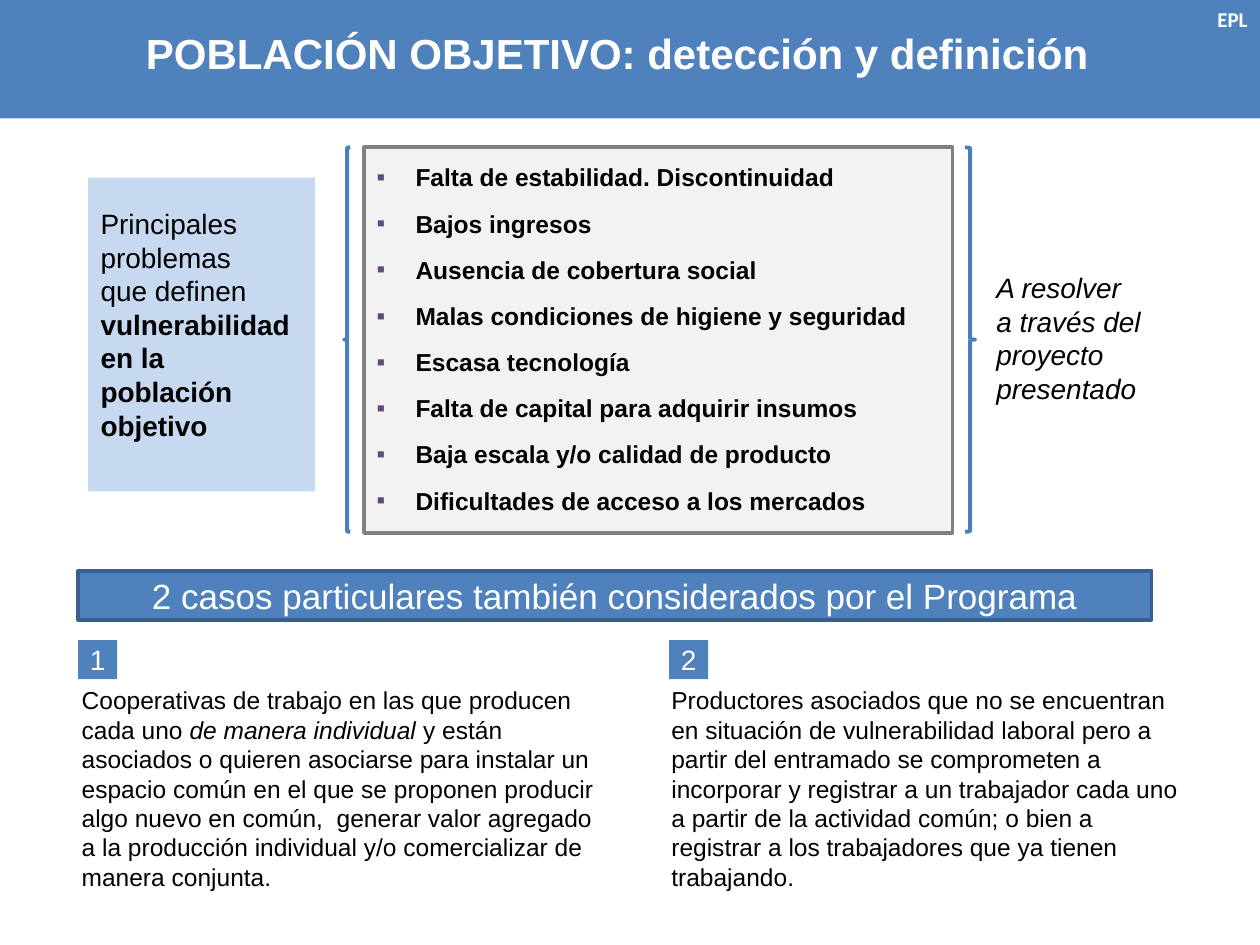
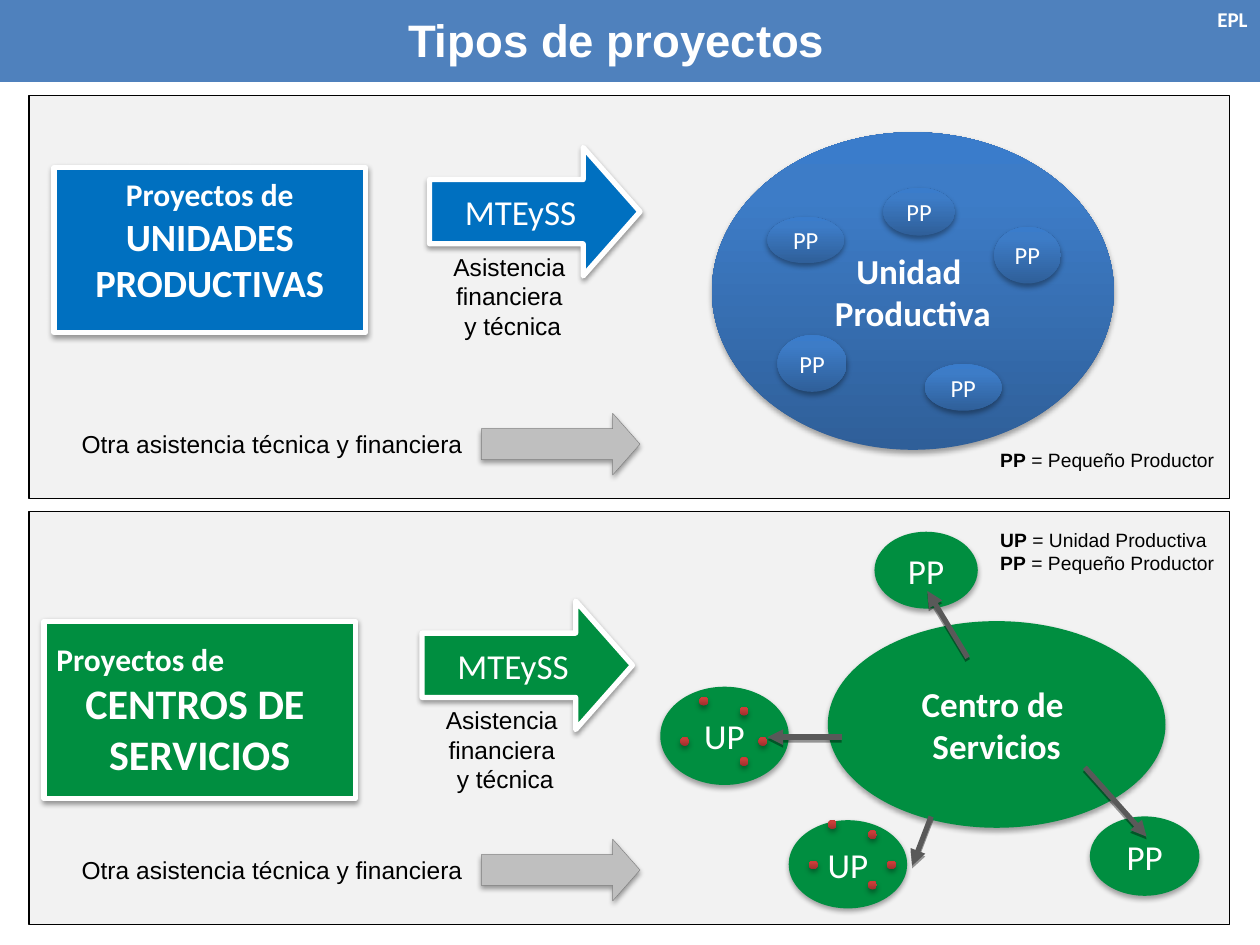
"""Builds two slides on the target population and the types of projects."""
from dataclasses import dataclass

import lxml.etree
import pptx
import pptx.dml.color
import pptx.enum.dml
import pptx.enum.shapes
import pptx.enum.text
import pptx.oxml.ns
import pptx.util

PX = 9144
KIND = pptx.enum.shapes.MSO_SHAPE
LEFT, CENTER, RIGHT = (getattr(pptx.enum.text.PP_ALIGN, side) for side in ("LEFT", "CENTER", "RIGHT"))
TOP, MIDDLE = pptx.enum.text.MSO_ANCHOR.TOP, pptx.enum.text.MSO_ANCHOR.MIDDLE


@dataclass(frozen=True)
class Theme:
    """Colours, fonts and type sizes shared by the slides."""
    band: str = "4F81BD"
    band_edge: str = "3A5F8C"
    brace: str = "4B7EBC"
    pale_blue: str = "C6D9F1"
    panel: str = "F2F2F2"
    gray: str = "808080"
    help_arrow: str = "BFBFBF"
    link: str = "595959"
    bullet: str = "604A7B"
    blue: str = "0070C0"
    green: str = "008E40"
    white: str = "FFFFFF"
    black: str = "000000"
    unit: tuple = ((0, "2F5F99"), (80, "3D7CC7"), (100, "3A7CCB"))
    dot: tuple = ((0, "9C2F2D"), (80, "CB3E3A"), (100, "CE3B37"))
    sans: str = "Arial"
    label: str = "Calibri"
    legend: int = 11
    tag: int = 12
    body: int = 14
    lead: int = 16
    project: int = 18
    large: int = 20


THEME = Theme()
BODY = {"name": THEME.sans, "size": THEME.body, "color": THEME.black}
LEAD = BODY | {"size": THEME.lead}
LEGEND = BODY | {"size": THEME.legend}
ON_BAND = BODY | {"color": THEME.white, "size": THEME.large}
LABEL = {"name": THEME.label, "size": THEME.large, "color": THEME.white}
BOLD, ITALIC = {"bold": True}, {"italic": True}
ARROW_SHADOW = {"alpha": 38, "blur": 3.1, "dist": 1.6}
BALL_SHADOW = {"alpha": 35, "blur": 3.1, "dist": 1.8}
LINK_SHADOW = {"alpha": 38, "blur": 0, "dist": 1.6}


def rgb(value):
    """Turn a hex string into a colour."""
    return pptx.dml.color.RGBColor.from_string(value)


def child(parent, tag, **values):
    """Append a DrawingML element with the given attributes."""
    return lxml.etree.SubElement(parent, pptx.oxml.ns.qn(f"a:{tag}"),
                                 {key: str(value) for key, value in values.items()})


def emu(*lengths):
    """Turn px lengths into EMU."""
    return [pptx.util.Emu(length * PX) for length in lengths]


def within(box, x, y, width, height):
    """Shift a box by the corner of the box that holds it."""
    return box[0] + x, box[1] + y, width, height


def cast_shadow(effects, alpha, blur, dist):
    """Add a downward shadow to an effect list."""
    outer = child(effects, "outerShdw", blurRad=int(blur * 12700), dist=int(dist * 12700),
                  dir=5400000, rotWithShape=0)
    child(child(outer, "srgbClr", val=THEME.black), "alpha", val=alpha * 1000)


def paint(shape, fill):
    """Fill a shape with nothing, one colour or upward gradient stops."""
    if fill is None:
        shape.fill.background()
    elif isinstance(fill, str):
        shape.fill.solid()
        shape.fill.fore_color.rgb = rgb(fill)
    else:
        shape.fill.gradient()
        shape.fill.gradient_angle = 90
        stops = next(shape._element.iter(pptx.oxml.ns.qn("a:gsLst")))
        stops.clear()
        for place, color in fill:
            child(child(stops, "gs", pos=place * 1000), "srgbClr", val=color)


def draw(slide, kind, box, fill=None, line=None, shadow=None, adjust=()):
    """Draw a preset shape in a box."""
    shape = slide.shapes.add_shape(kind, *emu(*box))
    paint(shape, fill)
    if line:
        shape.line.color.rgb = rgb(line[0])
        shape.line.width = pptx.util.Pt(line[1])
    else:
        shape.line.fill.background()
    shape.shadow.inherit = False
    if shadow:
        cast_shadow(shape._element.spPr.find(pptx.oxml.ns.qn("a:effectLst")), **shadow)
    for index, value in enumerate(adjust):
        shape.adjustments[index] = value
    return shape


def write(shape, lines, look, align=LEFT, **frame):
    """Write lines, each a string or a list of (text, format) runs."""
    text = shape.text_frame
    for key, value in ({"word_wrap": True, "vertical_anchor": TOP} | frame).items():
        setattr(text, key, value)
    for index, line in enumerate(lines):
        paragraph = text.paragraphs[0] if index == 0 else text.add_paragraph()
        paragraph.alignment = align
        for words, change in [(line, {})] if isinstance(line, str) else line:
            run = paragraph.add_run()
            run.text = words
            values = look | change
            run.font.color.rgb = rgb(values["color"])
            run.font.size = pptx.util.Pt(values["size"])
            for key in ("name", "bold", "italic"):
                setattr(run.font, key, values.get(key, False))
    return text


def caption(slide, box, lines, look, align=LEFT, **frame):
    """Place a text box."""
    return write(slide.shapes.add_textbox(*emu(*box)), lines, look, align, **frame)


def ball(slide, box, lines, fill, look=LABEL):
    """Draw a shadowed ellipse with a centred label."""
    write(draw(slide, KIND.OVAL, box, fill, shadow=BALL_SHADOW), lines, look, CENTER,
          word_wrap=False, vertical_anchor=MIDDLE)


def link(slide, start, end):
    """Draw a shadowed arrow between two points."""
    arrow = slide.shapes.add_connector(pptx.enum.shapes.MSO_CONNECTOR.STRAIGHT, *emu(*start, *end))
    arrow.line.color.rgb = rgb(THEME.link)
    arrow.line.width = pptx.util.Pt(3)
    child(arrow.line._get_or_add_ln(), "tailEnd", type="triangle")
    cast_shadow(child(arrow._element.spPr, "effectLst"), **LINK_SHADOW)


def header(slide, band, title, title_box, size):
    """Draw the title band with its title and corner tag."""
    draw(slide, KIND.RECTANGLE, band, THEME.band)
    caption(slide, title_box, [title], ON_BAND | BOLD | {"size": size})
    caption(slide, (955, 0, 45, 30), ["EPL"], LABEL | BOLD | {"size": THEME.tag}, RIGHT, word_wrap=False)


def problems(slide, box):
    """Show the problem list between its braces, with cause and outcome."""
    listing = draw(slide, KIND.RECTANGLE, within(box, 219, 0, 467, 306), THEME.panel, (THEME.gray, 2.25))
    text = write(listing, [
        "Falta de estabilidad. Discontinuidad", "Bajos ingresos", "Ausencia de cobertura social",
        "Malas condiciones de higiene y seguridad", "Escasa tecnología",
        "Falta de capital para adquirir insumos", "Baja escala y/o calidad de producto",
        "Dificultades de acceso a los mercados"], BODY | BOLD, margin_top=emu(13)[0])
    for paragraph in text.paragraphs:
        paragraph.line_spacing = pptx.util.Pt(16)
        paragraph.space_after = pptx.util.Pt(10.4)
        properties = paragraph._p.get_or_add_pPr()
        properties.set("marL", str(31 * PX))
        properties.set("indent", str(-31 * PX))
        child(child(properties, "buClr"), "srgbClr", val=THEME.bullet)
        child(properties, "buFont", typeface=THEME.sans)
        child(properties, "buChar", char="▪")
    for kind, x, width in ((KIND.LEFT_BRACE, 203, 5), (KIND.RIGHT_BRACE, 696, 8)):
        draw(slide, kind, within(box, x, 0, width, 305), line=(THEME.brace, 2.25))
    cause = draw(slide, KIND.RECTANGLE, within(box, 0, 24, 180, 249), THEME.pale_blue)
    write(cause, ["Principales problemas", [("que definen ", {}), ("vulnerabilidad", BOLD)],
                  *([(words, BOLD)] for words in ("en la", "población", "objetivo"))],
          LEAD, margin_top=emu(23)[0])
    caption(slide, within(box, 711, 93, 136, 118),
            ["A resolver", "a través del", "proyecto", "presentado"], LEAD | ITALIC)


def special_cases(slide, box):
    """Show the banner and the two numbered cases."""
    banner = draw(slide, KIND.RECTANGLE, within(box, 0, 0, 852, 39), THEME.band, (THEME.band_edge, 2))
    write(banner, ["2 casos particulares también considerados por el Programa"], ON_BAND, CENTER,
          vertical_anchor=MIDDLE)
    cases = (
        (0, -7, 430, [("Cooperativas de trabajo en las que producen cada uno ", {}),
                      ("de manera individual ", ITALIC),
                      ("y están asociados o quieren asociarse para instalar un espacio común en el que se "
                       "proponen producir algo nuevo en común,  generar valor agregado a la producción "
                       "individual y/o comercializar de manera conjunta.", {})]),
        (469, 461, 422, "Productores asociados que no se encuentran en situación de vulnerabilidad laboral "
                        "pero a partir del entramado se comprometen a incorporar y registrar a un trabajador "
                        "cada uno a partir de la actividad común; o bien a registrar a los trabajadores que "
                        "ya tienen trabajando."))
    for number, (number_x, text_x, width, text) in enumerate(cases, 1):
        badge = draw(slide, KIND.RECTANGLE, within(box, number_x, 55, 31, 31), THEME.band)
        write(badge, [str(number)], ON_BAND | {"size": THEME.lead}, CENTER,
              word_wrap=False, vertical_anchor=MIDDLE)
        caption(slide, within(box, text_x, 86, width, 175), [text], BODY)


def funding(slide, box, color):
    """Draw the ministry's arrow and what it gives."""
    arrow = draw(slide, KIND.RIGHT_ARROW, box, color, (THEME.white, 3), ARROW_SHADOW, (0.5, 0.442))
    write(arrow, ["MTEySS"], LABEL, CENTER, word_wrap=False, vertical_anchor=MIDDLE)
    caption(slide, within(box, 9, 78, 114, 80), ["Asistencia ", "financiera ", "y técnica"], BODY,
            CENTER, word_wrap=False)


def project_panel(slide, box, color, legend, legend_y):
    """Draw a panel with its legend and the other assistance at its foot."""
    draw(slide, KIND.RECTANGLE, box, THEME.panel, (THEME.black, 0.75))
    foot = box[3] - 60
    caption(slide, within(box, 20, foot, 346, 34), ["Otra asistencia técnica y financiera"], BODY, CENTER)
    draw(slide, KIND.RIGHT_ARROW, within(box, 359, foot - 8, 126, 49), THEME.help_arrow,
         (THEME.gray, 0.25), ARROW_SHADOW, (0.5, 0.442))
    caption(slide, within(box, 761, legend_y, 197, 18 * len(legend) + 11),
            [[(short, BOLD), (f" = {meaning}", {})] for short, meaning in legend], LEGEND)


def project_name(slide, box, color, size, names, margin_top):
    """Draw the framed name of a type of project."""
    frame = draw(slide, KIND.RECTANGLE, box, color, (THEME.white, 3), ARROW_SHADOW)
    return write(frame, [[("Proyectos de", {"size": THEME.project})], *names],
                 LABEL | BOLD | {"size": size}, CENTER, margin_top=emu(margin_top)[0])


def productive_units(slide, box):
    """Show projects of productive units made of small producers."""
    project_panel(slide, box, THEME.blue, [("PP", "Pequeño Productor")], 275)
    project_name(slide, within(box, 20, 57, 247, 131), THEME.blue, 22, ["UNIDADES", "PRODUCTIVAS"], 6)
    funding(slide, within(box, 318, 41, 167, 102), THEME.blue)
    ball(slide, within(box, 542, 29, 319, 252), ["Unidad ", "Productiva"], THEME.unit, LABEL | BOLD)
    for producer in ((678, 73, 57, 38), (586, 96, 61, 37), (766, 104, 53, 45),
                     (594, 190, 55, 45), (711, 213, 61, 37)):
        ball(slide, within(box, *producer), ["PP"], THEME.unit, LABEL | {"size": THEME.body})


def service_centers(slide, box):
    """Show projects of service centres linked to units and producers."""
    project_panel(slide, box, THEME.green, [("UP", "Unidad Productiva"), ("PP", "Pequeño Productor")], 8)
    name = project_name(slide, within(box, 12, 87, 247, 141), THEME.green, 24, ["CENTROS DE ", "SERVICIOS"], 15)
    name.paragraphs[0].alignment = LEFT
    funding(slide, within(box, 312, 71, 167, 102), THEME.green)
    ball(slide, within(box, 634, 87, 268, 164), ["Centro de ", "Servicios"], THEME.green, LABEL | BOLD)
    for producer in ((671, 16, 82, 61), (842, 242, 87, 63)):
        ball(slide, within(box, *producer), ["PP"], THEME.green)
    for unit, dots_y in (((501, 139, 102, 78), 8), ((603, 245, 94, 70), 0)):
        place = within(box, *unit)
        ball(slide, place, ["UP"], THEME.green)
        for x, y in ((63, 48), (78, 32), (63, 8), (16, 32), (31, 0)):
            draw(slide, KIND.OVAL, within(place, x, y + dots_y, 7, 7), THEME.dot, shadow=BALL_SHADOW)
    for start, end in (((745, 116), (713, 63)), ((645, 179), (586, 179)),
                       ((716, 242), (701, 281)), ((838, 203), (887, 258))):
        link(slide, *(within(box, *point, 0, 0)[:2] for point in (start, end)))


def main():
    """Build and save the presentation."""
    deck = pptx.Presentation()
    deck.slide_width, deck.slide_height = emu(1000, 750)
    population, projects = (deck.slides.add_slide(deck.slide_layouts[6]) for _ in range(2))
    problems(population, (70, 117, 847, 306))
    special_cases(population, (62, 453, 883, 261))
    header(population, (0, 0, 1000, 94), "POBLACIÓN OBJETIVO: detección y definición", (106, 17, 780, 50), 24)
    productive_units(projects, (23, 76, 953, 320))
    service_centers(projects, (23, 406, 953, 328))
    header(projects, (0, -3, 1000, 68), "Tipos de proyectos", (314, 5, 383, 54), 26)
    deck.save("out.pptx")


if __name__ == "__main__":
    main()
